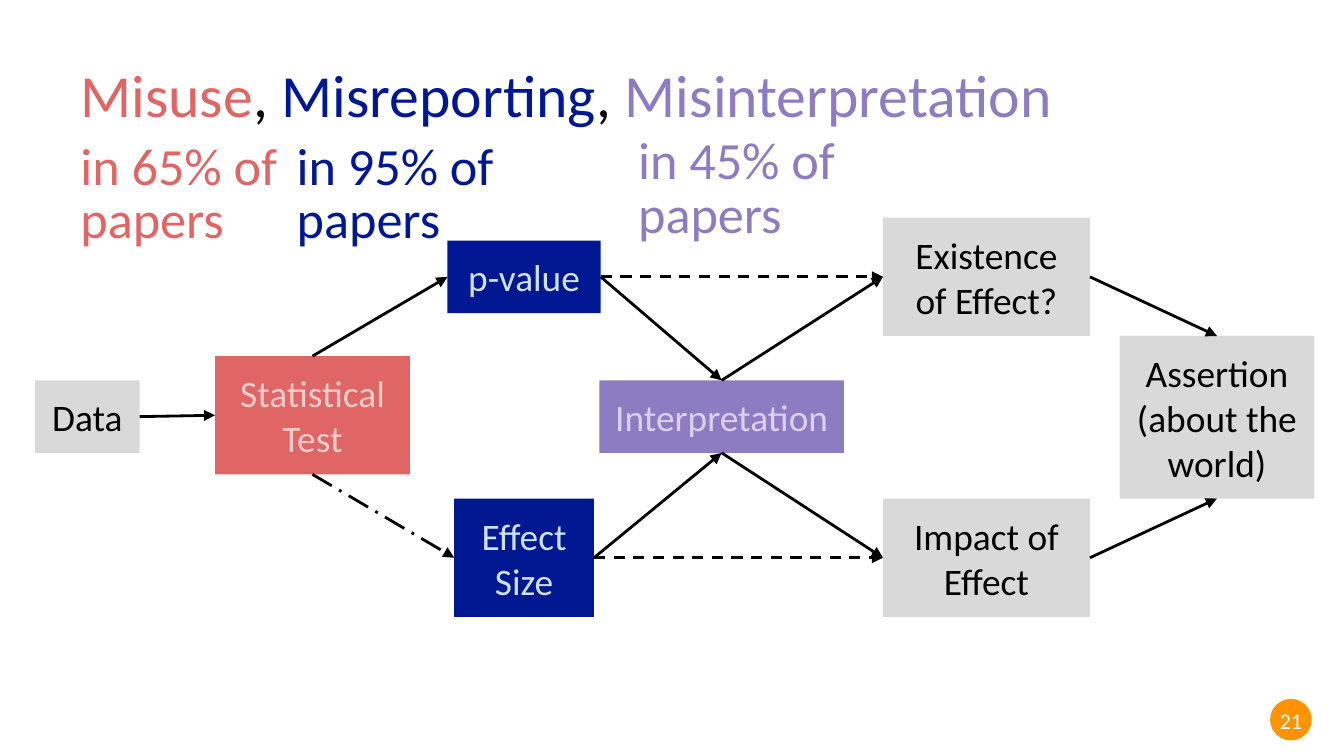
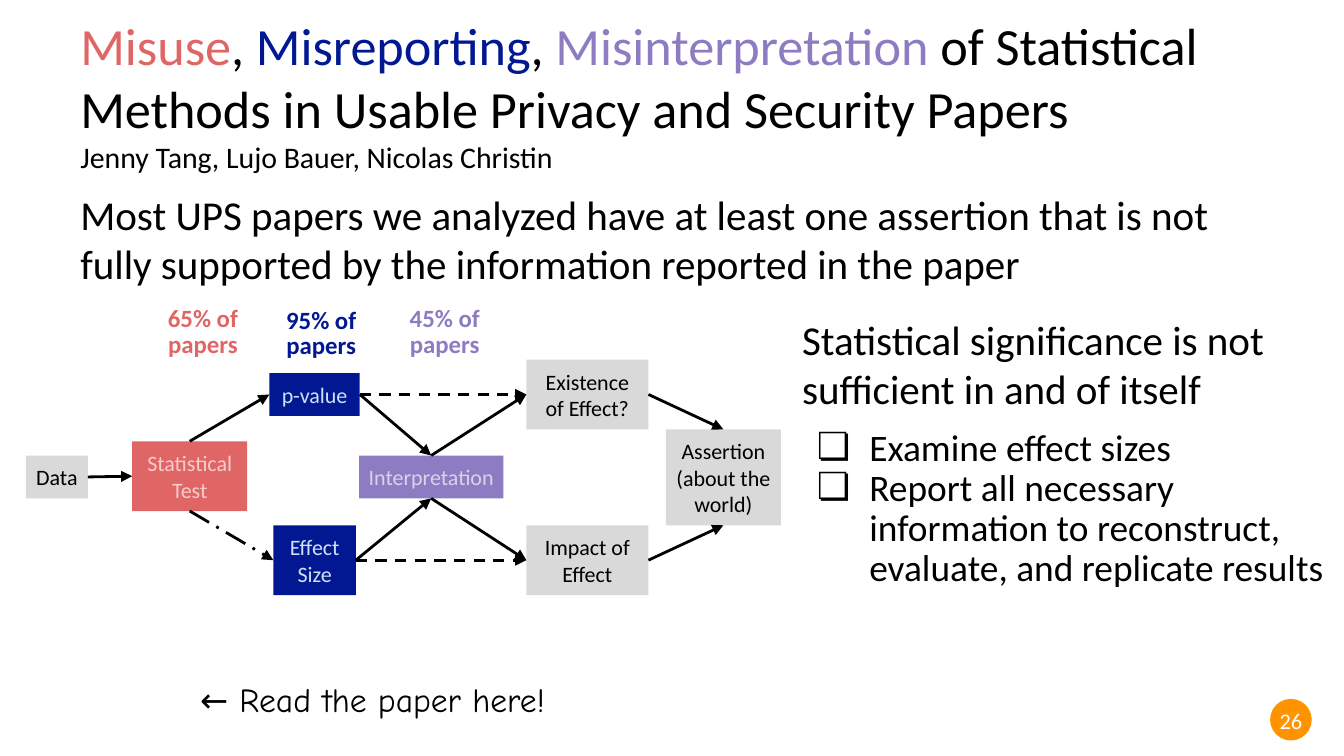
from lxml import etree
from pptx import Presentation
from pptx.dml.color import RGBColor
from pptx.enum.dml import MSO_LINE
from pptx.enum.shapes import MSO_CONNECTOR, MSO_SHAPE
from pptx.enum.text import MSO_ANCHOR, PP_ALIGN
from pptx.oxml.ns import qn
from pptx.util import Inches, Pt

STRAIGHT = MSO_CONNECTOR.STRAIGHT
RECTANGLE, OVAL = MSO_SHAPE.RECTANGLE, MSO_SHAPE.OVAL
DASH, DASH_DOT = MSO_LINE.DASH, MSO_LINE.LONG_DASH_DOT
TOP, MIDDLE = MSO_ANCHOR.TOP, MSO_ANCHOR.MIDDLE
LEFT, CENTER = PP_ALIGN.LEFT, PP_ALIGN.CENTER
NORTH, WEST, SOUTH, EAST = range(4)

COLORS = {
    "black": "000000", "white": "FFFFFF", "orange": "FF9300",
    "red": "E06666", "pink": "F4CCCC", "navy": "011892", "ice": "CFE2F3",
    "purple": "8E7CC3", "lilac": "D9D2E9", "gray": "D9D9D9",
}
FONT = "Calibri"
WIDTH = 10
HEIGHT = WIDTH * 9 / 16
TITLE_PLACE = (0.5, 0.23, 9, 0.94)
TITLE_INSETS = (0.1, 0.05)

TITLE_WORDS = [
    ("Misuse", "red"), (", ", "black"), ("Misreporting", "navy"),
    (", ", "black"), ("Misinterpretation", "purple"),
]
TITLE_REST = (" of Statistical Methods in Usable Privacy and Security Papers", "black")
AUTHORS = "Jenny Tang, Lujo Bauer, Nicolas Christin"
FINDING = ("Most UPS papers we analyzed have at least one assertion that is not "
           "fully supported by the information reported in the paper")
LESSON = "Statistical significance is not sufficient in and of itself"
ADVICE = [
    ("Examine effect sizes", {"before": 6}),
    ("Report all necessary information to reconstruct, evaluate, and replicate results",
     {"spacing": 0.9}),
]
INVITATION = "← Read the paper here!"

NODES = {
    "assertion": ("Assertion (about the world)", "gray", "black", (8.33, 2.5, 1.45, 1.21)),
    "existence": ("Existence of Effect?", "gray", "black", (6.57, 1.62, 1.54, 0.88)),
    "impact": ("Impact of Effect", "gray", "black", (6.57, 3.71, 1.54, 0.88)),
    "data": ("Data", "gray", "black", (0.26, 2.83, 0.78, 0.54)),
    "test": ("Statistical Test", "red", "pink", (1.6, 2.65, 1.45, 0.88)),
    "p-value": ("p-value", "navy", "ice", (3.33, 1.79, 1.14, 0.54)),
    "size": ("Effect Size", "navy", "ice", (3.38, 3.71, 1.04, 0.88)),
    "reading": ("Interpretation", "purple", "lilac", (4.46, 2.83, 1.82, 0.54)),
}
ARROWS = [
    ("existence", EAST, "assertion", NORTH, None),
    ("impact", EAST, "assertion", SOUTH, None),
    ("data", EAST, "test", WEST, None),
    ("test", NORTH, "p-value", WEST, None),
    ("test", SOUTH, "size", WEST, DASH_DOT),
    ("p-value", EAST, "reading", NORTH, None),
    ("size", EAST, "reading", SOUTH, None),
    ("reading", NORTH, "existence", WEST, None),
    ("reading", SOUTH, "impact", WEST, None),
    ("p-value", EAST, "existence", WEST, DASH),
    ("size", EAST, "impact", WEST, DASH),
]
SHARES = [("65% of papers", "red"), ("95% of papers", "navy"), ("45% of papers", "purple")]
LARGE_SHARE_PLACES = [(0.5, 0.96, 1.73, 1), (2.11, 0.96, 2.64, 1), (4.65, 0.92, 2.64, 1)]
SMALL_SHARE_PLACES = [(1.1, 2.24, 0.82, 0.48), (1.98, 2.25, 0.82, 0.48), (2.86, 2.24, 0.9, 0.48)]


def rgb(name):
    return RGBColor.from_string(COLORS[name])


def paragraph(runs, size, align=LEFT, spacing=None, before=None,
              bullet=None, bold=None, font=FONT):
    return {"runs": runs, "size": size, "align": align, "spacing": spacing,
            "before": before, "bullet": bullet, "bold": bold, "font": font}


def add_bullet(para, mark):
    properties = para._p.get_or_add_pPr()
    properties.set("marL", str(Inches(0.5)))
    properties.set("indent", str(Inches(-0.39)))
    color = etree.SubElement(properties, qn("a:buClr"))
    etree.SubElement(color, qn("a:srgbClr"), val=COLORS["black"])
    etree.SubElement(properties, qn("a:buFont"), typeface=FONT)
    etree.SubElement(properties, qn("a:buChar"), char=mark)


def write(shape, paragraphs, insets=(0.1, 0.1), anchor=TOP):
    frame = shape.text_frame
    frame.word_wrap = True
    frame.vertical_anchor = anchor
    frame.margin_left = frame.margin_right = Inches(insets[0])
    frame.margin_top = frame.margin_bottom = Inches(insets[1])
    for index, item in enumerate(paragraphs):
        para = frame.add_paragraph() if index else frame.paragraphs[0]
        if item["bullet"]:
            add_bullet(para, item["bullet"])
        para.alignment = item["align"]
        if item["spacing"]:
            para.line_spacing = item["spacing"]
        if item["before"]:
            para.space_before = Pt(item["before"])
        for text, color in item["runs"]:
            span = para.add_run()
            span.text = text
            span.font.name = item["font"]
            span.font.size = Pt(item["size"])
            span.font.bold = item["bold"]
            span.font.color.rgb = rgb(color)


def add_text(page, place, paragraphs, insets=(0.1, 0.1), anchor=TOP):
    box = page.shapes.add_textbox(*map(Inches, place))
    write(box, paragraphs, insets, anchor)


def add_filled(page, kind, place, color):
    shape = page.shapes.add_shape(kind, *map(Inches, place))
    shape.shadow.inherit = False
    shape.fill.solid()
    shape.fill.fore_color.rgb = rgb(color)
    shape.line.fill.background()
    return shape


def add_arrow(page, start, start_side, end, end_side, dash):
    arrow = page.shapes.add_connector(STRAIGHT, 0, 0, 0, 0)
    arrow.begin_connect(start, start_side)
    arrow.end_connect(end, end_side)
    arrow.line.color.rgb = rgb("black")
    arrow.line.width = Pt(1.5)
    if dash:
        arrow.line.dash_style = dash
    etree.SubElement(arrow.line._get_or_add_ln(), qn("a:tailEnd"), type="triangle")
    etree.SubElement(arrow._element.spPr, qn("a:effectLst"))


def add_diagram(page, left=0, top=0, scale=1):
    boxes = {}
    inset = 0.1 * scale
    for name, (label, fill, ink, (x, y, width, height)) in NODES.items():
        place = (left + x * scale, top + y * scale, width * scale, height * scale)
        boxes[name] = add_filled(page, RECTANGLE, place, fill)
        label_para = paragraph([(label, ink)], round(20 * scale, 1), CENTER)
        write(boxes[name], [label_para], (inset, inset), MIDDLE)
    for start, start_side, end, end_side, dash in ARROWS:
        add_arrow(page, boxes[start], start_side, boxes[end], end_side, dash)


def add_page(deck, number, title):
    page = deck.slides.add_slide(deck.slide_layouts[6])
    add_filled(page, OVAL, (9.45, 5.2, 0.31, 0.31), "orange")
    add_text(page, (9.31, 5.21, 0.59, 0.3),
             [paragraph([(str(number), "white")], 12, CENTER)], TITLE_INSETS)
    add_text(page, TITLE_PLACE, title, TITLE_INSETS, MIDDLE)
    return page


def build_overview(deck):
    page = add_page(deck, 21, [paragraph(TITLE_WORDS, 32)])
    add_diagram(page)
    for (share, color), place in zip(SHARES, LARGE_SHARE_PLACES):
        add_text(page, place, [paragraph([("in " + share, color)], 28, spacing=0.85)])


def build_summary(deck):
    title = [paragraph(TITLE_WORDS + [TITLE_REST], 28),
             paragraph([(AUTHORS, "black")], 16)]
    page = add_page(deck, 26, title)
    add_text(page, (0.5, 1.36, 9, 0.77),
             [paragraph([(FINDING, "black")], 22)], TITLE_INSETS)
    lessons = [paragraph([(LESSON, "black")], 22)]
    lessons += [paragraph([(text, "black")], 20, bullet="❏", **gaps) for text, gaps in ADVICE]
    add_text(page, (5.87, 2.24, 4.13, 2.27), lessons)
    add_diagram(page, 0.04, 1.72, 0.59)
    for (share, color), place in zip(SHARES, SMALL_SHARE_PLACES):
        label = paragraph([(share, color)], 13.3, CENTER, spacing=0.85, bold=True)
        add_text(page, place, [label], (0.05, 0.05))
    add_text(page, (1.39, 4.95, 3.38, 0.5),
             [paragraph([(INVITATION, "black")], 18, font="Comic Neue")])


def main():
    deck = Presentation()
    deck.slide_width, deck.slide_height = Inches(WIDTH), Inches(HEIGHT)
    build_overview(deck)
    build_summary(deck)
    deck.save("out.pptx")


if __name__ == "__main__":
    main()
